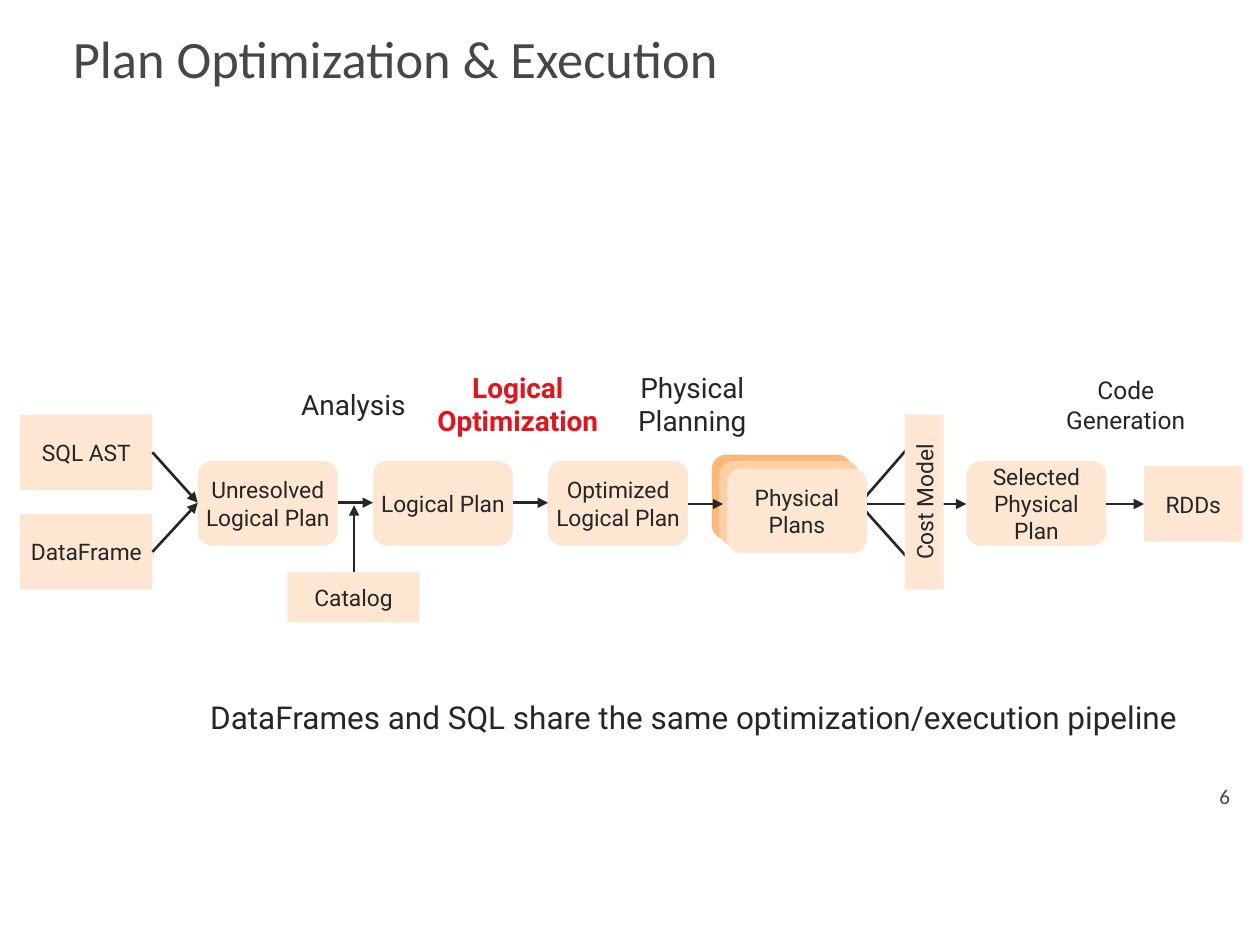
from lxml import etree
from pptx import Presentation
from pptx.dml.color import RGBColor
from pptx.enum.shapes import MSO_CONNECTOR, MSO_SHAPE
from pptx.enum.text import MSO_ANCHOR, MSO_AUTO_SIZE, PP_ALIGN
from pptx.oxml.ns import qn
from pptx.util import Emu, Pt

PX = 9144  # 100 px to the inch
COLORS = {
    "ink": "262626",
    "heading": "474747",
    "accent": "E2151C",
    "box": "FDE7D2",
    "box_mid": "FBD0A5",
    "box_back": "F8B878",
}
ROUND, RECT = MSO_SHAPE.ROUNDED_RECTANGLE, MSO_SHAPE.RECTANGLE
STAGE = (111, 67)  # size of a rounded stage
SOURCE = (105, 60)  # size of an input box


def px(n):
    return Emu(n * PX)


def rgb(name):
    return RGBColor.from_string(COLORS[name])


def write(tf, text, size, color="ink", font="Roboto", align=PP_ALIGN.CENTER, bold=False):
    tf.text = text
    for p in tf.paragraphs:
        p.alignment = align
        p.font.size, p.font.name, p.font.bold = Pt(size), font, bold
        p.font.color.rgb = rgb(color)


def add_text(slide, box, text, size, wrap=False, anchor=MSO_ANCHOR.TOP, **style):
    tf = slide.shapes.add_textbox(*map(px, box)).text_frame
    tf.word_wrap = wrap
    tf.auto_size = MSO_AUTO_SIZE.NONE if wrap else MSO_AUTO_SIZE.SHAPE_TO_FIT_TEXT
    tf.vertical_anchor = anchor
    write(tf, text, size, **style)


def add_box(slide, kind, box, text="", fill="box"):
    sp = slide.shapes.add_shape(kind, *map(px, box))
    sp.shadow.inherit = False
    sp.fill.solid()
    sp.fill.fore_color.rgb = rgb(fill)
    sp.line.fill.background()
    if text:
        tf = sp.text_frame
        tf.word_wrap = True
        tf.vertical_anchor = MSO_ANCHOR.MIDDLE
        tf.margin_left = tf.margin_right = 0
        tf.margin_top = tf.margin_bottom = px(0 if kind == ROUND else 5)
        write(tf, text, 13)
    return sp


def add_arrow(slide, x1, y1, x2, y2):
    line = slide.shapes.add_connector(MSO_CONNECTOR.STRAIGHT, *map(px, (x1, y1, x2, y2)))
    line.line.color.rgb = rgb("ink")
    line.line.width = Pt(1.5)
    etree.SubElement(line.line._get_or_add_ln(), qn("a:tailEnd"), type="triangle")
    etree.SubElement(line._element.spPr, qn("a:effectLst"))


def add_pipeline(slide, left, top):
    def box(kind, x, y, size, text="", fill="box"):
        return add_box(slide, kind, (left + x, top + y, *size), text, fill)

    def arrow(x1, y1, x2, y2):
        add_arrow(slide, left + x1, top + y1, left + x2, top + y2)

    # Stacked physical plans, rear cards
    box(ROUND, 549, 72, STAGE, fill="box_back")
    box(ROUND, 555, 77, STAGE, fill="box_mid")

    # Inputs, with arrows that meet at the first stage
    for y, text in ((40, "SQL AST"), (119, "DataFrame")):
        box(RECT, 0, y, SOURCE, text)
        arrow(105, y + 30, 141, 110)

    # Logical stages
    for i, text in enumerate(("Unresolved Logical Plan", "Logical Plan", "Optimized Logical Plan")):
        x = 141 + 139 * i
        box(ROUND, x, 77, STAGE, text)
        if i:
            arrow(x - 28, 110, x, 110)

    # Catalog feeds the analysis step
    box(RECT, 212, 165, (105, 40), "Catalog")
    arrow(265, 165, 265, 112)

    # Candidate plans fan out behind the cost model
    for x, y in ((726, 42), (751, 111), (726, 178)):
        arrow(666, 111, x, y)
    box(RECT, 648, 94, (139, 31), "Cost Model").rotation = 270
    box(ROUND, 561, 83, STAGE, "Physical\vPlans")
    arrow(530, 111, 558, 111)

    # Selected plan and output
    box(ROUND, 751, 77, STAGE, "Selected Physical Plan")
    arrow(862, 111, 892, 111)
    box(RECT, 892, 81, (78, 60), "RDDs")

    # Phase labels
    for x, y, w, h, text, size, style in (
        (213, 14, 103, 37, "Analysis", 16, {}),
        (317, 0, 156, 64, "Logical\nOptimization", 16, {"color": "accent", "bold": True}),
        (480, 0, 107, 64, "Physical\nPlanning", 16, {}),
        (819, 4, 117, 57, "Code\nGeneration", 14, {}),
    ):
        add_text(slide, (left + x, top + y, w, h), text, size, **style)


def add_frame(slide, width):
    # Title and page number
    style = {"wrap": True, "anchor": MSO_ANCHOR.MIDDLE, "color": "heading", "font": "Calibri"}
    add_text(slide, (48, 8, 919, 75), "Plan Optimization & Execution", 30,
             align=PP_ALIGN.LEFT, **style)
    add_text(slide, (width - 75, 617, 61, 30), "6", 12, align=PP_ALIGN.RIGHT, **style)


def main():
    prs = Presentation()
    prs.slide_width, prs.slide_height = px(1000), px(750)
    slide = prs.slides.add_slide(prs.slide_layouts[6])
    add_frame(slide, 1000)
    add_pipeline(slide, 16, 289)
    # Takeaway
    add_text(slide, (157, 549, 796, 40),
             "DataFrames and SQL share the same optimization/execution pipeline", 18,
             align=PP_ALIGN.LEFT)
    prs.save("out.pptx")


if __name__ == "__main__":
    main()
